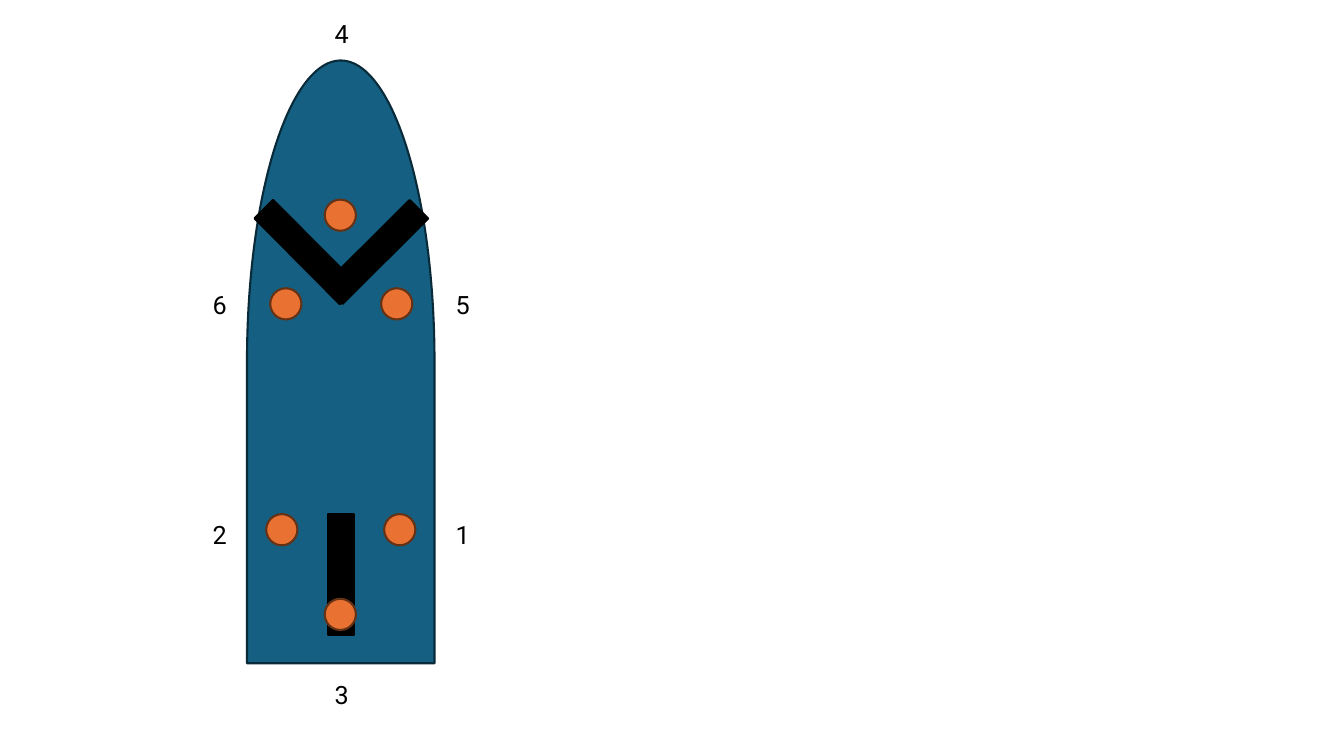
import pptx
import pptx.dml.color
import pptx.enum.shapes
import pptx.enum.text
import pptx.util

PX = 9144
SHAPE = pptx.enum.shapes.MSO_SHAPE
HULL_BLUE = pptx.dml.color.RGBColor(0x15, 0x60, 0x82)
HULL_EDGE = pptx.dml.color.RGBColor(0x09, 0x2A, 0x39)
BLACK = pptx.dml.color.RGBColor(0x00, 0x00, 0x00)
ORANGE = pptx.dml.color.RGBColor(0xE9, 0x71, 0x32)
ORANGE_EDGE = pptx.dml.color.RGBColor(0x66, 0x32, 0x16)

deck = pptx.Presentation()
deck.slide_width = 1333 * PX
deck.slide_height = 750 * PX
page = deck.slides.add_slide(deck.slide_layouts[6])


def add_part(kind, left, top, width, height, fill, edge, rotation=0):
    part = page.shapes.add_shape(kind, left * PX, top * PX, width * PX, height * PX)
    part.shadow.inherit = False
    part.rotation = rotation
    part.fill.solid()
    part.fill.fore_color.rgb = fill
    part.line.color.rgb = edge
    part.line.width = pptx.util.Pt(1.5)


add_part(SHAPE.FLOWCHART_DELAY, 39, 266, 598, 186, HULL_BLUE, HULL_EDGE, 270)

for left, top, rotation in [(325, 510, 0), (291, 190, 315.2), (360, 190, 45.1)]:
    add_part(SHAPE.RECTANGLE, left, top, 26, 120, BLACK, BLACK, rotation)

for left, top in [(322, 198), (378, 286), (268, 286), (322, 594), (381, 510), (264, 510)]:
    add_part(SHAPE.OVAL, left, top, 31, 31, ORANGE, ORANGE_EDGE)

labels = [
    ("1", 442, 510),
    ("2", 201, 510),
    ("3", 322, 669),
    ("5", 442, 282),
    ("6", 201, 282),
    ("4", 322, 13),
]
for text, left, top in labels:
    box = page.shapes.add_textbox(left * PX, top * PX, 34 * PX, 40 * PX)
    box.text_frame.word_wrap = False
    box.text_frame.auto_size = pptx.enum.text.MSO_AUTO_SIZE.SHAPE_TO_FIT_TEXT
    span = box.text_frame.paragraphs[0].add_run()
    span.text = text
    for name, value in {"name": "Roboto", "size": pptx.util.Pt(18)}.items():
        setattr(span.font, name, value)
    span.font.color.rgb = BLACK

deck.save("out.pptx")
